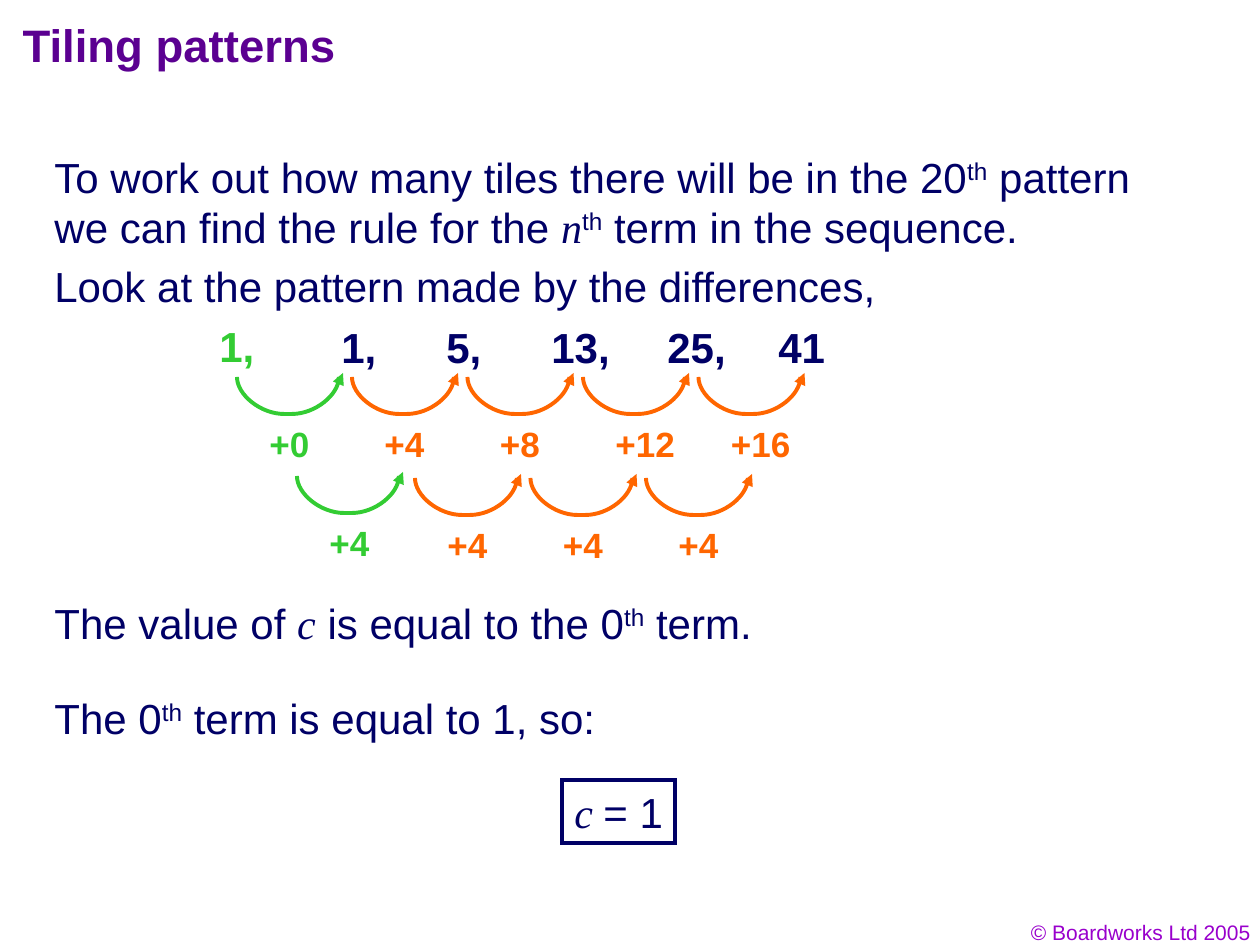
from dataclasses import dataclass

from lxml.etree import SubElement
from pptx import Presentation
from pptx.dml.color import RGBColor
from pptx.enum.shapes import MSO_CONNECTOR as Conn, MSO_SHAPE as Shape
from pptx.enum.text import MSO_ANCHOR as Anchor, MSO_AUTO_SIZE as AutoSize, PP_ALIGN as Align
from pptx.oxml.ns import qn
from pptx.util import Emu, Pt

NAVY = RGBColor(0x00, 0x00, 0x66)
GREEN = RGBColor(0x33, 0xCC, 0x33)
ORANGE = RGBColor(0xFF, 0x66, 0x00)
PURPLE = RGBColor(0x5B, 0x00, 0x91)
VIOLET = RGBColor(0x99, 0x00, 0xCC)

EMU_PER_PX = 914400 / 126
LINE_WIDTH = Pt(2.25)
HOP_PITCH = 115.5
ARC_W = 102
ARC_SIDE = [(0, 0), (0, 18), (24, 37), (47, 37)]

BODY = {"size": Pt(24), "name": "Arial"}
VARIABLE = {"name": "Times New Roman", "italic": True}
TERM = {**BODY, "bold": True}
DIFFERENCE = {**TERM, "size": Pt(20)}


@dataclass(frozen=True)
class Run:
    text: str
    variable: bool = False
    raised: bool = False


@dataclass(frozen=True)
class Box:
    left: float
    top: int
    width: int
    height: int


@dataclass(frozen=True)
class HopRow:
    left: int
    top: int
    color: RGBColor
    labels: tuple[str, ...]


TH = Run("th", raised=True)
SENTENCES = [
    (Box(42, 145, 1115, 113),
     [Run("To work out how many tiles there will be in the 20"), TH,
      Run(" pattern we can find the rule for the "), Run("n", variable=True), TH,
      Run(" term in the sequence.")]),
    (Box(42, 254, 1115, 63), [Run("Look at the pattern made by the differences,")]),
    (Box(42, 591, 1163, 63),
     [Run("The value of "), Run("c", variable=True), Run(" is equal to the 0"), TH,
      Run(" term.")]),
    (Box(42, 686, 1163, 63), [Run("The 0"), TH, Run(" term is equal to 1, so:")]),
]
TERMS = [
    (Box(207, 314, 60, 63), "1,", GREEN),
    (Box(329, 315, 422, 63), "1,\t5,\t13,\t25,", NAVY),
    (Box(766, 315, 72, 63), "41", NAVY),
]
TERM_TABS = (105, 210, 326)
HOP_ROWS = [
    HopRow(352, 377, ORANGE, ("+4", "+8", "+12", "+16")),
    HopRow(415, 478, ORANGE, ("+4", "+4", "+4")),
    HopRow(297, 476, GREEN, ("+4",)),
    HopRow(237, 377, GREEN, ("+0",)),
]


def px(n: float) -> Emu:
    """Convert pixels to EMU."""
    return Emu(round(n * EMU_PER_PX))


def place(box: Box) -> tuple[Emu, ...]:
    """Give a box's position and size in EMU."""
    return tuple(px(n) for n in (box.left, box.top, box.width, box.height))


def write(s, runs: list[Run], fmt: dict, color: RGBColor, wrap: bool = True,
          align=Align.LEFT, anchor=Anchor.TOP, tabs: tuple[int, ...] = ()) -> None:
    """Fill a shape with one formatted paragraph."""
    tf = s.text_frame
    tf.auto_size, tf.word_wrap, tf.vertical_anchor = AutoSize.NONE, wrap, anchor
    p = tf.paragraphs[0]
    p.alignment = align
    if tabs:
        tab_list = SubElement(p._p.get_or_add_pPr(), qn("a:tabLst"))
        for tab in tabs:
            SubElement(tab_list, qn("a:tab"), pos=str(px(tab)), algn="l")
    for run in runs:
        r = p.add_run()
        r.text = run.text
        r.font.color.rgb = color
        for name, value in {**fmt, **(VARIABLE if run.variable else {})}.items():
            setattr(r.font, name, value)
        if run.raised:
            r._r.get_or_add_rPr().set("baseline", "30000")


def outline(s, color: RGBColor):
    """Give a shape the common line style and return the line element."""
    s.line.color.rgb, s.line.width = color, LINE_WIDTH
    return s.line._get_or_add_ln()


def draw_arc(shapes, left: float, top: int, color: RGBColor) -> None:
    """Draw an open bowl: two curves joined by a short flat."""
    points = ARC_SIDE + [(ARC_W - x, y) for x, y in reversed(ARC_SIDE)]
    start, *rest = [(px(left + x), px(top + y)) for x, y in points]
    builder = shapes.build_freeform(*start)
    builder.add_line_segments(rest, close=False)
    s = builder.convert_to_shape()
    outline_path = next(s._element.iter(qn("a:path")))
    _, *segments = list(outline_path)
    for side in (segments[:3], segments[4:]):
        curve = SubElement(outline_path, qn("a:cubicBezTo"))
        side[0].addprevious(curve)
        for segment in side:
            curve.append(segment[0])
            outline_path.remove(segment)
    s.shadow.inherit = False
    s.fill.background()
    outline(s, color)


def draw_arrow(shapes, x: float, y: int, color: RGBColor) -> None:
    """Draw the short arrow at the end of an arc."""
    s = shapes.add_connector(Conn.STRAIGHT, px(x + 1), px(y + 3), px(x + 4), px(y - 4))
    SubElement(outline(s, color), qn("a:tailEnd"), type="triangle")
    SubElement(s._element.spPr, qn("a:effectLst"))


def draw_hops(shapes, row: HopRow) -> None:
    """Draw one group of arcs with their differences."""
    group = shapes.add_group_shape().shapes
    for i, label in enumerate(row.labels):
        left = row.left + i * HOP_PITCH
        draw_arc(group, left, row.top, row.color)
        draw_arrow(group, left + ARC_W, row.top, row.color)
        width = 64 if len(label) == 2 else 84
        s = group.add_textbox(*place(Box(left + 20, row.top + 39, width, 55)))
        write(s, [Run(label)], DIFFERENCE, row.color, wrap=False)


def main() -> None:
    """Build the slide and save it."""
    prs = Presentation()
    prs.slide_width, prs.slide_height = px(1260), px(945)
    slide = prs.slides.add_slide(prs.slide_layouts[5])
    shapes = slide.shapes

    title = shapes.title
    title.left, title.top, title.width, title.height = place(Box(10, 8, 1036, 73))
    write(title, [Run("Tiling patterns")], {**TERM, "size": Pt(26)}, PURPLE,
          anchor=Anchor.MIDDLE)

    for box, runs in SENTENCES:
        write(shapes.add_textbox(*place(box)), runs, BODY, NAVY)
    for box, text, color in TERMS:
        tabs = TERM_TABS if "\t" in text else ()
        write(shapes.add_textbox(*place(box)), [Run(text)], TERM, color,
              wrap=False, tabs=tabs)
    for row in HOP_ROWS:
        draw_hops(shapes, row)

    answer = shapes.add_shape(Shape.RECTANGLE, *place(Box(562, 780, 113, 63)))
    answer.shadow.inherit = False
    answer.fill.background()
    SubElement(outline(answer, NAVY), qn("a:miter"), lim="800000")
    write(answer, [Run("c ", variable=True), Run("= 1")], BODY, NAVY, wrap=False)

    footer = shapes.add_textbox(*place(Box(969, 913, 294, 38)))
    write(footer, [Run("© Boardworks Ltd 2005")], {**BODY, "size": Pt(12)}, VIOLET,
          align=Align.RIGHT)
    prs.save("out.pptx")


if __name__ == "__main__":
    main()
